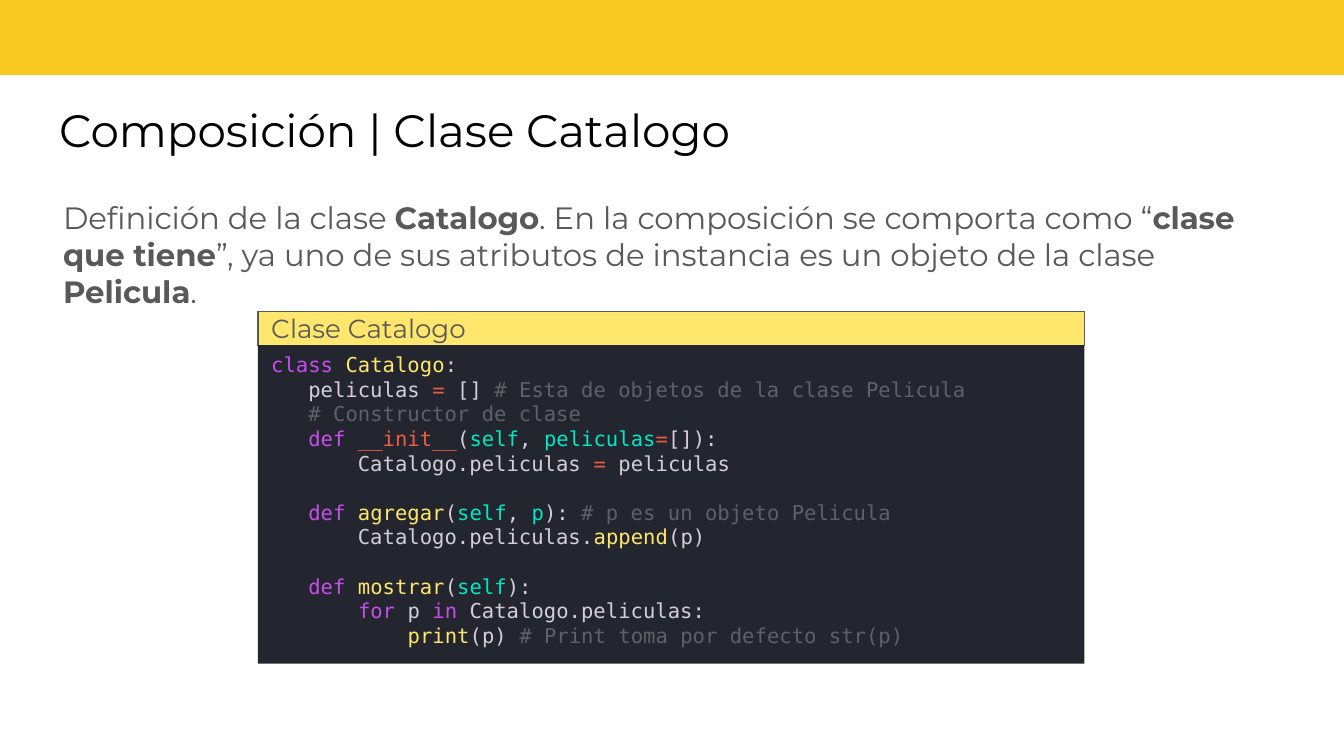
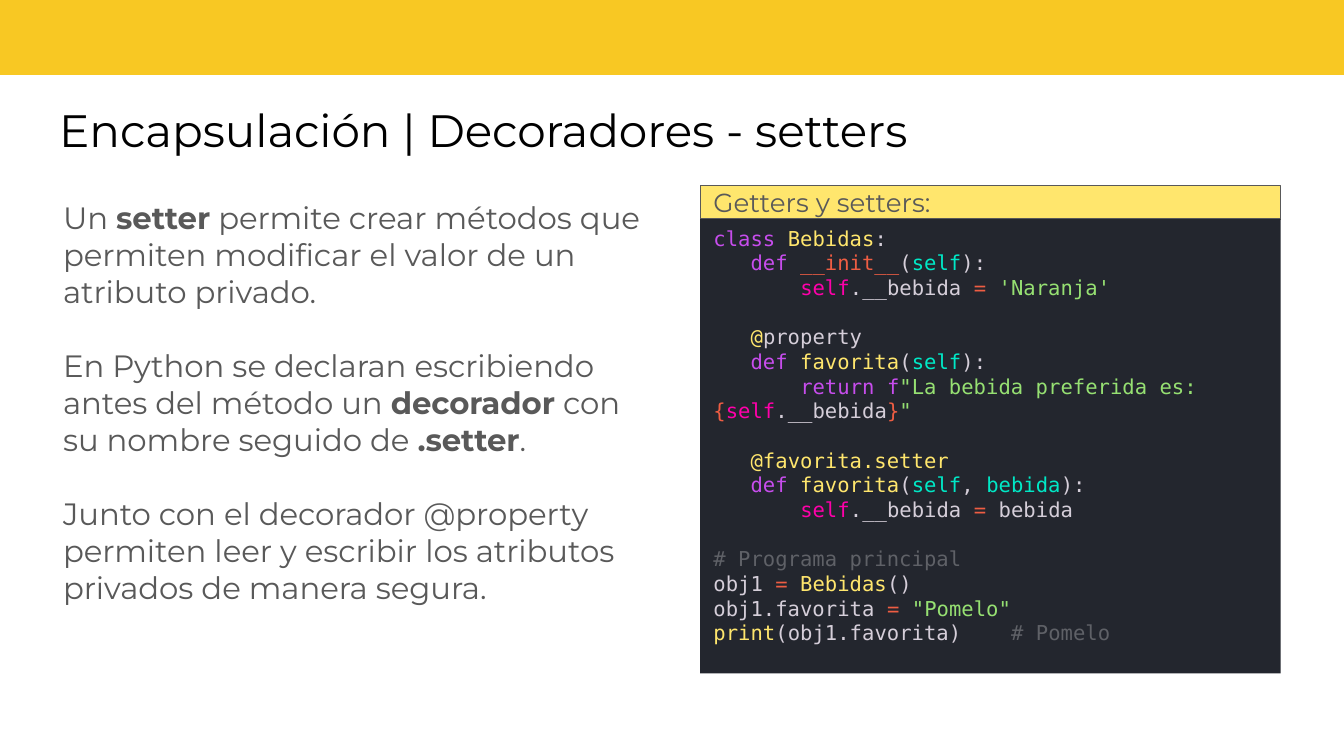
from pptx import Presentation
from pptx.dml.color import RGBColor
from pptx.enum import shapes, text
from pptx.util import Pt

COLOURS = {
    "band": "F8C823", "title": "000000", "body": "595959",
    "header": "FFE66D", "editor": "23262E",
    "plain": "D5CED9", "keyword": "C74DED", "name": "FFE66D",
    "operator": "EE5D43", "parameter": "00E8C6", "instance": "FF00AA",
    "string": "96E072", "comment": "5F6167",
}
TEXT_FONT, CODE_FONT = "Montserrat", "DejaVu Sans Mono"
SLIDE_SIZE = (720, 405)
BAND = (-0.7, -3.6, 722, 43.8)
TITLE = (24.5, 46.8, 669.6, 45.4)
BODY_LEFT, BODY_TOP = 33.8, 99.4
HEADER_HEIGHT = 18

# A run is a plain string or a (style, string) pair; an empty line is a gap.
DEF = ("keyword", "def")
EQUALS = ("operator", "=")
INIT = ("operator", "__init__")
SELF = ("parameter", "self")
SELF_USED = ("instance", "self")

SLIDES = [
    {
        "title": "Composición | Clase Catalogo",
        "body_size": (651.6, 81.4),
        "body": [
            ["Definición de la clase ", ("bold", "Catalogo"),
             ". En la composición se comporta como “", ("bold", "clase que tiene"),
             "”, ya uno de sus atributos de instancia es un objeto de la clase ",
             ("bold", "Pelicula"), "."],
        ],
        "panel": (138.2, 167, 442.8, 188.6),
        "header": "Clase Catalogo",
        "code": [
            [("keyword", "class"), " ", ("name", "Catalogo"), ":"],
            ["   peliculas ", EQUALS, " [] ",
             ("comment", "# Esta de objetos de la clase Pelicula")],
            ["   ", ("comment", "# Constructor de clase")],
            ["   ", DEF, " ", INIT, "(", SELF, ", ",
             ("parameter", "peliculas"), EQUALS, "[]):"],
            ["       Catalogo.peliculas ", EQUALS, " peliculas"],
            [],
            ["   ", DEF, " ", ("name", "agregar"), "(", SELF, ", ",
             ("parameter", "p"), "): ", ("comment", "# p es un objeto Pelicula")],
            ["       Catalogo.peliculas.", ("name", "append"), "(p)"],
            [],
            ["   ", DEF, " ", ("name", "mostrar"), "(", SELF, "):"],
            ["       ", ("keyword", "for"), " p ", ("keyword", "in"),
             " Catalogo.peliculas:"],
            ["           ", ("name", "print"), "(p) ",
             ("comment", "# Print toma por defecto str(p)")],
        ],
    },
    {
        "title": "Encapsulación | Decoradores - setters",
        "body_size": (311, 262),
        "body": [
            ["Un ", ("bold", "setter"), " permite crear métodos que permiten "
             "modificar el valor de un atributo privado."],
            [],
            ["En Python se declaran escribiendo antes del método un ",
             ("bold", "decorador"), " con su nombre seguido de ",
             ("bold", ".setter"), "."],
            [],
            ["Junto con el decorador @property permiten leer y escribir "
             "los atributos privados de manera segura."],
        ],
        "panel": (375.1, 99.4, 311, 261.4),
        "header": "Getters y setters:",
        "code": [
            [("keyword", "class"), " ", ("name", "Bebidas"), ":"],
            ["   ", DEF, " ", INIT, "(", SELF, "):"],
            ["       ", SELF_USED, ".__bebida ", EQUALS, " ", ("string", "'Naranja'")],
            [],
            ["   ", ("name", "@"), "property"],
            ["   ", DEF, " ", ("name", "favorita"), "(", SELF, "):"],
            ["       ", ("keyword", "return"), " ", ("keyword", "f"),
             ("string", '"La bebida preferida es: '), ("operator", "{"),
             SELF_USED, ".__bebida", ("operator", "}"), ("string", '"')],
            [],
            ["   ", ("name", "@favorita.setter")],
            ["   ", DEF, " ", ("name", "favorita"), "(", SELF, ", ",
             ("parameter", "bebida"), "):"],
            ["       ", SELF_USED, ".__bebida ", EQUALS, " bebida"],
            [],
            [("comment", "# Programa principal")],
            ["obj1 ", EQUALS, " ", ("name", "Bebidas"), "()"],
            ["obj1.favorita ", EQUALS, " ", ("string", '"Pomelo"')],
            [("name", "print"), "(obj1.favorita)    ", ("comment", "# Pomelo")],
        ],
    },
]


def colour(name):
    return RGBColor.from_string(COLOURS[name])


def add_rectangle(slide, box, fill, line=None):
    shape = slide.shapes.add_shape(shapes.MSO_SHAPE.RECTANGLE, *map(Pt, box))
    shape.shadow.inherit = False
    shape.fill.solid()
    shape.fill.fore_color.rgb = colour(fill)
    if line:
        shape.line.color.rgb = colour(line)
        shape.line.width = Pt(0.75)
    else:
        shape.line.fill.background()
    return shape


def write(shape, lines, font, size, base, insets, anchor=text.MSO_ANCHOR.TOP, pitch=None):
    """Fill a shape with lines of runs; base is the colour of unstyled runs."""
    frame = shape.text_frame
    frame.word_wrap = True
    frame.auto_size = text.MSO_AUTO_SIZE.NONE
    frame.vertical_anchor = anchor
    frame.margin_left = frame.margin_right = Pt(insets[0])
    frame.margin_top = frame.margin_bottom = Pt(insets[1])
    paragraph, gap = None, 0
    for line in lines:
        if not line:
            gap = pitch
            continue
        paragraph = frame.add_paragraph() if paragraph else frame.paragraphs[0]
        paragraph.alignment = text.PP_ALIGN.LEFT
        paragraph.space_before = Pt(gap)
        if pitch:
            paragraph.line_spacing = Pt(pitch)
        gap = 0
        for piece in line:
            style, words = (base, piece) if isinstance(piece, str) else piece
            run = paragraph.add_run()
            run.text = words
            run.font.name = font
            run.font.size = Pt(size)
            run.font.bold = style == "bold"
            run.font.color.rgb = colour(base if style == "bold" else style)


def add_code_panel(slide, box, header, code):
    left, top, width, height = box
    title_bar = add_rectangle(slide, (left, top, width, HEADER_HEIGHT), "header", "body")
    write(title_bar, [[header]], TEXT_FONT, 14, "body", (7.2, 3.6), text.MSO_ANCHOR.MIDDLE)
    editor = add_rectangle(
        slide, (left, top + HEADER_HEIGHT, width, height - HEADER_HEIGHT), "editor")
    write(editor, code, CODE_FONT, 11, "plain", (7.2, 3.6), pitch=13.2)


def add_slide(presentation, layout, content):
    slide = presentation.slides.add_slide(layout)
    title = slide.shapes.title
    title.left, title.top, title.width, title.height = map(Pt, TITLE)
    write(title, [[content["title"]]], TEXT_FONT, 24.3, "title", (7.2, 7.2),
          text.MSO_ANCHOR.MIDDLE)
    body = slide.shapes.add_textbox(
        *map(Pt, (BODY_LEFT, BODY_TOP, *content["body_size"])))
    write(body, content["body"], TEXT_FONT, 16.5, "body", (0, 7.2), pitch=19.8)
    add_code_panel(slide, content["panel"], content["header"], content["code"])
    return slide


def main():
    presentation = Presentation()
    presentation.slide_width, presentation.slide_height = map(Pt, SLIDE_SIZE)
    layout = presentation.slide_layouts[5]
    slides = [add_slide(presentation, layout, content) for content in SLIDES]
    # The band belongs to the layout, so it is moved there once.
    band = add_rectangle(slides[0], BAND, "band")
    layout.shapes.element.insert(2, band.element)
    presentation.save("out.pptx")


if __name__ == "__main__":
    main()
